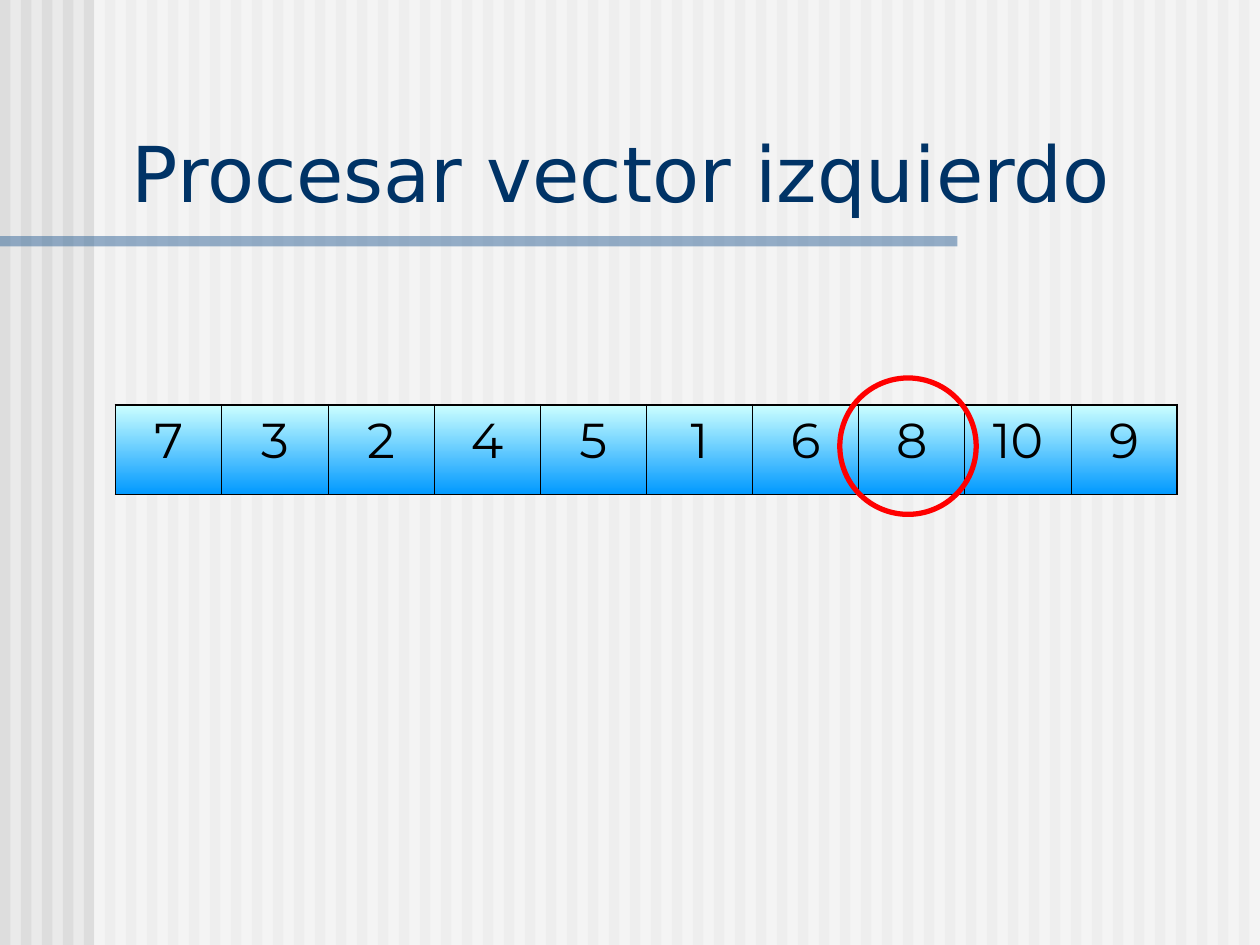
from lxml import etree
from pptx import Presentation
from pptx.dml.color import RGBColor
from pptx.enum import shapes, text
from pptx.oxml import ns
from pptx.util import Cm, Pt

BACKGROUND = RGBColor(0xEA, 0xEA, 0xEA)
STRIPE = RGBColor(0xDD, 0xDD, 0xDD)
WHITE = RGBColor(0xFF, 0xFF, 0xFF)
BLACK = RGBColor(0, 0, 0)
RULE = RGBColor(0x33, 0x66, 0x99)
TITLE = RGBColor(0, 0x33, 0x66)
CELL_TOP = RGBColor(0xCC, 0xFF, 0xFF)
CELL_BOTTOM = RGBColor(0, 0x99, 0xFF)
RED = RGBColor(0xFF, 0, 0)

SLIDE_W, SLIDE_H = 25.4, 19.05
STRIPE_COUNT = 60
VECTOR = [7, 3, 2, 4, 5, 1, 6, 8, 10, 9]
VECTOR_COLUMNS = [0, 1, 2, 3, 4, 5, 6, 8, 9, 11]
COLUMN_WIDTHS = [2.14] * 6 + [1.57, 0.57, 2.14, 0.89, 1.25, 2.14]
ROW_HEIGHT = 1.81
MERGES = [(0, 6, 7), (0, 9, 10), (1, 6, 7), (1, 9, 10), (2, 7, 9)]
NO_GRID_STYLE = "{2D5ABB26-0587-4C30-8999-92F81FD0307C}"
OUTER, INNER = 1.08, 0.45


def add_bar(slide, left, top, width, height, color, opacity=100):
    bar = slide.shapes.add_shape(shapes.MSO_SHAPE.RECTANGLE,
                                 Cm(left), Cm(top), Cm(width), Cm(height))
    bar.shadow.inherit = False
    bar.line.fill.background()
    bar.fill.solid()
    bar.fill.fore_color.rgb = color
    if opacity < 100:
        rgb = bar.fill._xPr.find(".//" + ns.qn("a:srgbClr"))
        etree.SubElement(rgb, ns.qn("a:alpha"), val=str(opacity * 1000))


def write(frame, content, *, font, size, color, align=None, before=None):
    paragraph = frame.paragraphs[0]
    if align is not None:
        paragraph.alignment = align
    if before is not None:
        paragraph.space_before = Pt(before)
    run = paragraph.add_run()
    run.text = content
    run.font.name = font
    run.font.size = Pt(size)
    run.font.color.rgb = color


def set_borders(cell, **widths):
    properties = cell._tc.get_or_add_tcPr()
    for position, (side, width) in enumerate(widths.items()):
        border = etree.Element(ns.qn(f"a:ln{side}"), w=str(Pt(width)))
        fill = etree.SubElement(border, ns.qn("a:solidFill"))
        etree.SubElement(fill, ns.qn("a:srgbClr"), val=str(BLACK))
        properties.insert(position, border)


def fill_gradient(cell):
    cell.fill.gradient()
    cell.fill.gradient_angle = 270
    for stop, color in zip(cell.fill.gradient_stops, (CELL_TOP, CELL_BOTTOM)):
        stop.color.rgb = color


def add_vector(slide, left, top):
    table_frame = slide.shapes.add_table(
        3, len(COLUMN_WIDTHS), Cm(left), Cm(top),
        Cm(sum(COLUMN_WIDTHS)), Cm(3 * ROW_HEIGHT))
    table = table_frame.table
    table.first_row = table.horz_banding = False
    table._tbl.tblPr.find(ns.qn("a:tableStyleId")).text = NO_GRID_STYLE
    for column, width in zip(table.columns, COLUMN_WIDTHS):
        column.width = Cm(width)
    for row in table.rows:
        row.height = Cm(ROW_HEIGHT)
    for row, first, last in MERGES:
        table.cell(row, first).merge(table.cell(row, last))

    # Only the middle row shows; the rows around it stay empty
    for column in range(len(COLUMN_WIDTHS)):
        for row in (0, 2):
            table.cell(row, column).fill.background()
        cell = table.cell(1, column)
        fill_gradient(cell)
        set_borders(cell,
                    L=OUTER if column == 0 else INNER,
                    R=OUTER if column == len(COLUMN_WIDTHS) - 1 else INNER,
                    T=OUTER, B=OUTER)
    for column, value in zip(VECTOR_COLUMNS, VECTOR):
        write(table.cell(1, column).text_frame, str(value), font="Montserrat",
              size=28, color=BLACK, align=text.PP_ALIGN.CENTER, before=7)


def add_title(slide, content):
    box = slide.shapes.add_textbox(Cm(2.41), Cm(2.38), Cm(22.68), Cm(2.13))
    box.text_frame.word_wrap = True
    box.text_frame.vertical_anchor = text.MSO_ANCHOR.BOTTOM
    write(box.text_frame, content, font="DejaVu Sans", size=44, color=TITLE)


def add_ring(slide, left, top, diameter):
    ring = slide.shapes.add_shape(shapes.MSO_SHAPE.OVAL, Cm(left), Cm(top),
                                  Cm(diameter), Cm(diameter))
    ring.shadow.inherit = False
    ring.fill.background()
    ring.line.color.rgb = RED
    ring.line.width = Pt(3)


def main():
    deck = Presentation()
    deck.slide_width, deck.slide_height = Cm(SLIDE_W), Cm(SLIDE_H)
    slide = deck.slides.add_slide(deck.slide_layouts[6])
    slide.background.fill.solid()
    slide.background.fill.fore_color.rgb = BACKGROUND

    # Striped backdrop, veiled to the right of the margin
    pitch = SLIDE_W / STRIPE_COUNT
    for index in range(STRIPE_COUNT):
        add_bar(slide, index * pitch, 0, pitch / 2, SLIDE_H, STRIPE)
    add_bar(slide, 1.9, 0, SLIDE_W - 1.9, SLIDE_H, WHITE, opacity=50)

    # Rule under the title
    add_bar(slide, 0, 4.76, 19.3, 0.21, RULE, opacity=50)

    # Vector, title and the ring around the current element
    add_vector(slide, 2.33, 6.35)
    add_title(slide, "Procesar vector izquierdo")
    add_ring(slide, 16.93, 7.62, 2.75)

    deck.save("out.pptx")


if __name__ == "__main__":
    main()
